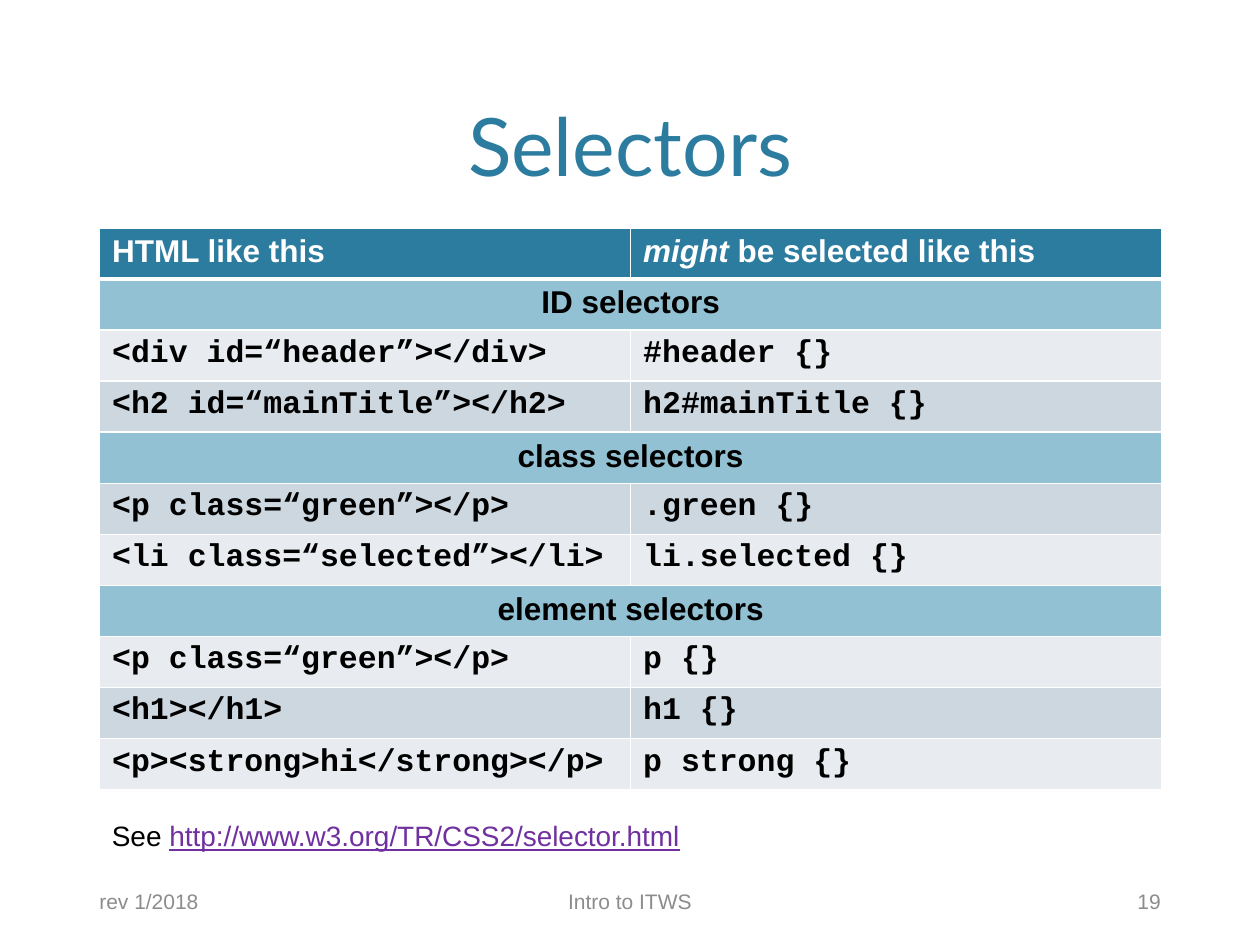
from lxml import etree
from pptx import Presentation
from pptx import util as u
from pptx.dml import color
from pptx.enum import text
from pptx.oxml import ns

TEAL, BLUE, LIGHT, DARK = "2C7C9F", "91C1D2", "E8ECF0", "CDD7DF"
WHITE, BLACK, GREY, PURPLE = "FFFFFF", "000000", "8C8C8C", "7030A0"
SANS, MONO = "Arial", "Courier New"
LEFT, MID, RIGHT = text.PP_ALIGN.LEFT, text.PP_ALIGN.CENTER, text.PP_ALIGN.RIGHT


def rgb(code):
    """Turn a hex string into a colour."""
    return color.RGBColor.from_string(code)


class Deck:
    """Holds the presentation, its style and the current slide."""

    def __init__(self, width, height):
        """Start a presentation with one title-only slide."""
        self.file = Presentation()
        self.file.slide_width = u.Inches(width)
        self.file.slide_height = u.Inches(height)
        self.slide = self.file.slides.add_slide(self.file.slide_layouts[5])

    def fill_in(self, para, runs, size, hue, font=SANS, align=LEFT, bold=False):
        """Add runs, each a text and its own font settings."""
        para.alignment = align
        for words, extra in runs:
            run = para.add_run()
            run.text = words
            face = run.font
            face.name, face.size, face.bold = font, u.Pt(size), bold
            face.color.rgb = rgb(extra.get("hue", hue))
            face.italic = extra.get("italic", False)
            face.underline = extra.get("under", False)

    def title(self, words, box):
        """Place and fill the title."""
        shape = self.slide.shapes.title
        shape.left, shape.top, shape.width, shape.height = map(u.Inches, box)
        frame = shape.text_frame
        frame.auto_size = text.MSO_AUTO_SIZE.NONE
        frame.vertical_anchor = text.MSO_ANCHOR.BOTTOM
        self.fill_in(frame.paragraphs[0], [(words, {})], 46, TEAL, "Lato", MID)

    def label(self, runs, box, size, hue, align=LEFT, anchor=text.MSO_ANCHOR.MIDDLE):
        """Add a text box of one line."""
        frame = self.slide.shapes.add_textbox(*map(u.Inches, box)).text_frame
        frame.word_wrap = True
        frame.vertical_anchor = anchor
        self.fill_in(frame.paragraphs[0], runs, size, hue, align=align)

    def edge(self, cell, side, width):
        """Draw one white border of a cell."""
        props = cell._tc.get_or_add_tcPr()
        line = etree.SubElement(props, ns.qn("a:ln" + side), w=str(u.Pt(width)))
        fill = etree.SubElement(line, ns.qn("a:solidFill"))
        etree.SubElement(fill, ns.qn("a:srgbClr"), val=WHITE)

    def cell(self, cell, runs, fill, head=False, **style):
        """Border, fill and letter one cell."""
        for side in "LRTB":
            self.edge(cell, side, 3 if head and side == "B" else 1)
        cell.fill.solid()
        cell.fill.fore_color.rgb = rgb(fill)
        hue = WHITE if head else BLACK
        self.fill_in(cell.text_frame.paragraphs[0], runs, 18, hue, bold=True, **style)

    def table(self, head, rows, box):
        """Add a table; a row of one text is a section across it."""
        grid = self.slide.shapes.add_table(
            len(rows) + 1, len(head), *map(u.Inches, box)).table
        for col, runs in enumerate(head):
            self.cell(grid.cell(0, col), runs, TEAL, head=True)
        for num, row in enumerate(rows, 1):
            if len(row) == 1:
                first, last = grid.cell(num, 0), grid.cell(num, len(head) - 1)
                first.merge(last)
                self.cell(first, [(row[0], {})], BLUE, align=MID)
                self.cell(last, [], BLUE)
                continue
            for col, words in enumerate(row):
                band = DARK if num % 2 else LIGHT
                self.cell(grid.cell(num, col), [(words, {})], band, font=MONO)


HEAD = [
    [("HTML like this", {})],
    [("might", {"italic": True}), (" be selected like this", {})],
]
ROWS = [
    ("ID selectors",),
    ("<div id=“header”></div>", "#header {}"),
    ("<h2 id=“mainTitle”></h2>", "h2#mainTitle {}"),
    ("class selectors",),
    ("<p class=“green”></p>", ".green {}"),
    ("<li class=“selected”></li>", "li.selected {}"),
    ("element selectors",),
    ("<p class=“green”></p>", "p {}"),
    ("<h1></h1>", "h1 {}"),
    ("<p><strong>hi</strong></p>", "p strong {}"),
]
FOOT = [
    ("rev 1/2018", 0.69, 2.69, LEFT),
    ("Intro to ITWS", 3.81, 2.38, MID),
    ("19", 6.62, 2.69, RIGHT),
]

deck = Deck(10, 7.5)
deck.title("Selectors", (0.6, 0.12, 8.8, 1.46))
deck.table(HEAD, ROWS, (0.79, 1.81, 8.43, 4.46))
link = ("http://www.w3.org/TR/CSS2/selector.html", {"hue": PURPLE, "under": True})
deck.label([("See ", {}), link], (0.79, 6.45, 4.83, 0.37), 16, BLACK,
           anchor=text.MSO_ANCHOR.TOP)
for words, left, width, align in FOOT:
    deck.label([(words, {})], (left, 6.95, width, 0.4), 12, GREY, align)
deck.file.save("out.pptx")
